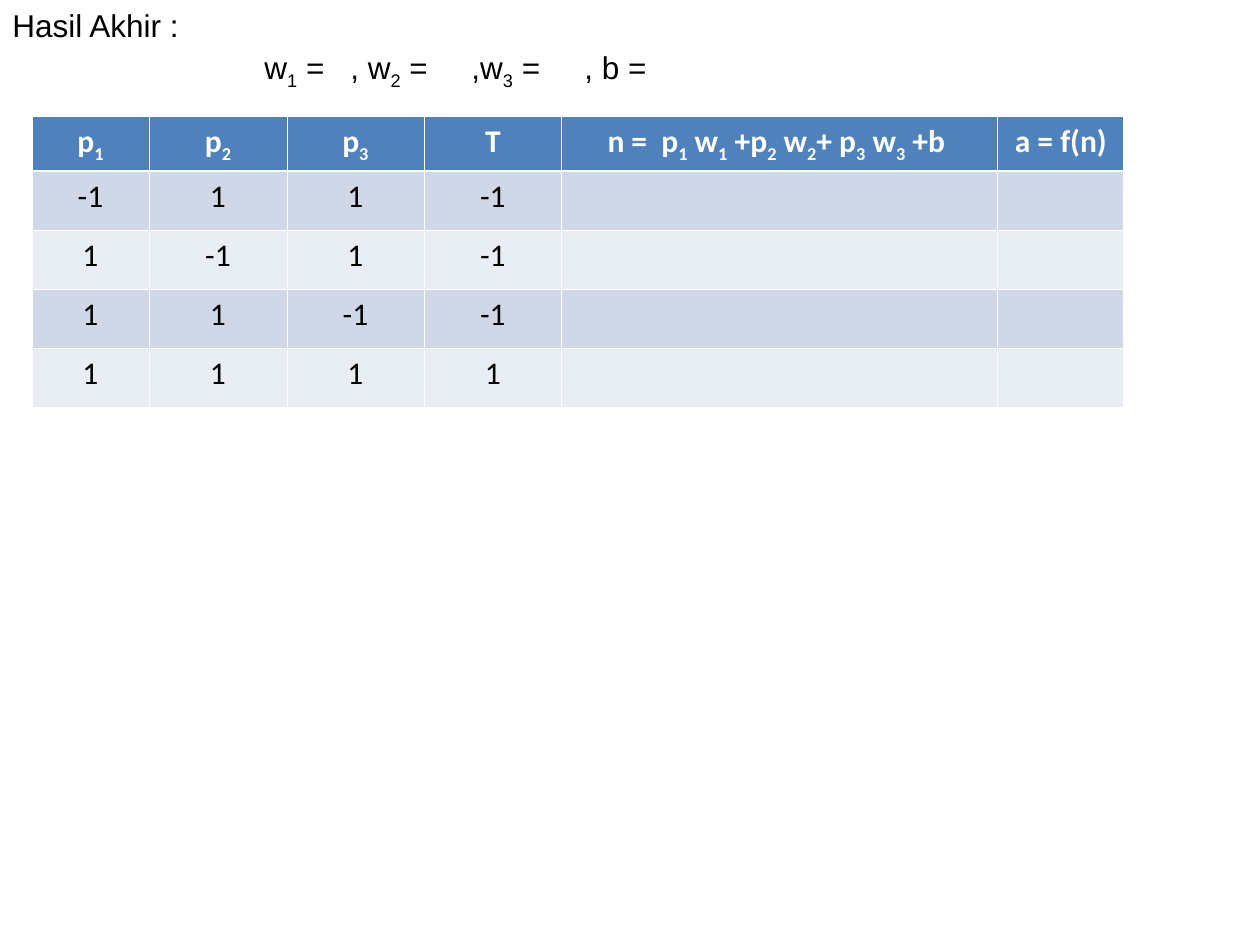
from lxml.etree import SubElement
from pptx import Presentation
from pptx.dml.color import RGBColor
from pptx.enum.text import MSO_AUTO_SIZE, PP_ALIGN
from pptx.oxml.ns import qn
from pptx.util import Pt

EMU_PER_PX = 914400 // 126

# An underscore marks the next character as a subscript.
TITLE = "Hasil Akhir :"
WEIGHTS = "w_1 =\t, w_2 =\t,w_3 =\t, b ="
WEIGHT_TABS = (86, 207, 320)
HEADER = ("p_1", "p_2", "p_3", "T", "n =  p_1 w_1 +p_2 w_2+ p_3 w_3 +b ", "a = f(n)")
PATTERNS = (
    ("-1", "1", "1", "-1", "", ""),
    ("1", "-1", "1", "-1", "", ""),
    ("1", "1", "-1", "-1", "", ""),
    ("1", "1", "1", "1", "", ""),
)
COLUMN_WIDTHS = (117, 138, 137, 138, 436, 126)
HEADER_HEIGHT, PATTERN_HEIGHT = 55, 59
HEADER_FILL, BAND_FILLS = "4F81BD", ("D0D8E8", "E9EDF4")
WHITE, BLACK = "FFFFFF", "000000"
THIN, THICK = 0.45, 1.47


def px(length):
    return length * EMU_PER_PX


def rgb(value):
    return RGBColor.from_string(value)


def write(paragraph, text, font_name, color, bold=False):
    """Fill the paragraph, lowering each character that follows an underscore."""
    first, *others = text.split("_")
    pieces = [(first, False)]
    for part in others:
        pieces += [(part[0], True), (part[1:], False)]
    for piece, lowered in pieces:
        if not piece:
            continue
        run = paragraph.add_run()
        run.text = piece
        font = run.font
        font.name, font.size, font.bold = font_name, Pt(18), bold
        font.color.rgb = rgb(color)
        if lowered:
            run._r.get_or_add_rPr().set("baseline", "-25000")


def add_text(slide, box, text, tabs=()):
    text_frame = slide.shapes.add_textbox(*map(px, box)).text_frame
    text_frame.word_wrap = True
    text_frame.auto_size = MSO_AUTO_SIZE.SHAPE_TO_FIT_TEXT
    paragraph = text_frame.paragraphs[0]
    if tabs:
        tab_list = SubElement(paragraph._p.get_or_add_pPr(), qn("a:tabLst"))
        for position in tabs:
            SubElement(tab_list, qn("a:tab"), pos=str(px(position)), algn="l")
    write(paragraph, text, "Arial", BLACK)


def set_borders(cell, top, bottom):
    properties = cell._tc.get_or_add_tcPr()
    for side, width in (("L", THIN), ("R", THIN), ("T", top), ("B", bottom)):
        line = SubElement(properties, qn(f"a:ln{side}"), w=str(Pt(width)))
        SubElement(SubElement(line, qn("a:solidFill")), qn("a:srgbClr"), val=WHITE)


def add_pattern_table(slide, left, top):
    rows = (HEADER, *PATTERNS)
    heights = [HEADER_HEIGHT] + [PATTERN_HEIGHT] * len(PATTERNS)
    box = (left, top, sum(COLUMN_WIDTHS), sum(heights))
    table = slide.shapes.add_table(len(rows), len(HEADER), *map(px, box)).table
    table.horz_banding = False
    for column, width in zip(table.columns, COLUMN_WIDTHS):
        column.width = px(width)
    for index, (texts, height) in enumerate(zip(rows, heights)):
        table.rows[index].height = px(height)
        is_header = index == 0
        fill = HEADER_FILL if is_header else BAND_FILLS[(index - 1) % 2]
        for cell, text in zip(table.rows[index].cells, texts):
            set_borders(cell, THICK if index == 1 else THIN, THICK if is_header else THIN)
            cell.fill.solid()
            cell.fill.fore_color.rgb = rgb(fill)
            paragraph = cell.text_frame.paragraphs[0]
            paragraph.alignment = PP_ALIGN.CENTER
            write(paragraph, text, "Calibri", WHITE if is_header else BLACK, is_header)


def main():
    presentation = Presentation()
    presentation.slide_width, presentation.slide_height = px(1260), px(945)
    slide = presentation.slides.add_slide(presentation.slide_layouts[6])
    add_pattern_table(slide, 32, 116)
    add_text(slide, (0, 0, 357, 51), TITLE)
    add_text(slide, (252, 42, 504, 55), WEIGHTS, WEIGHT_TABS)
    presentation.save("out.pptx")


if __name__ == "__main__":
    main()
